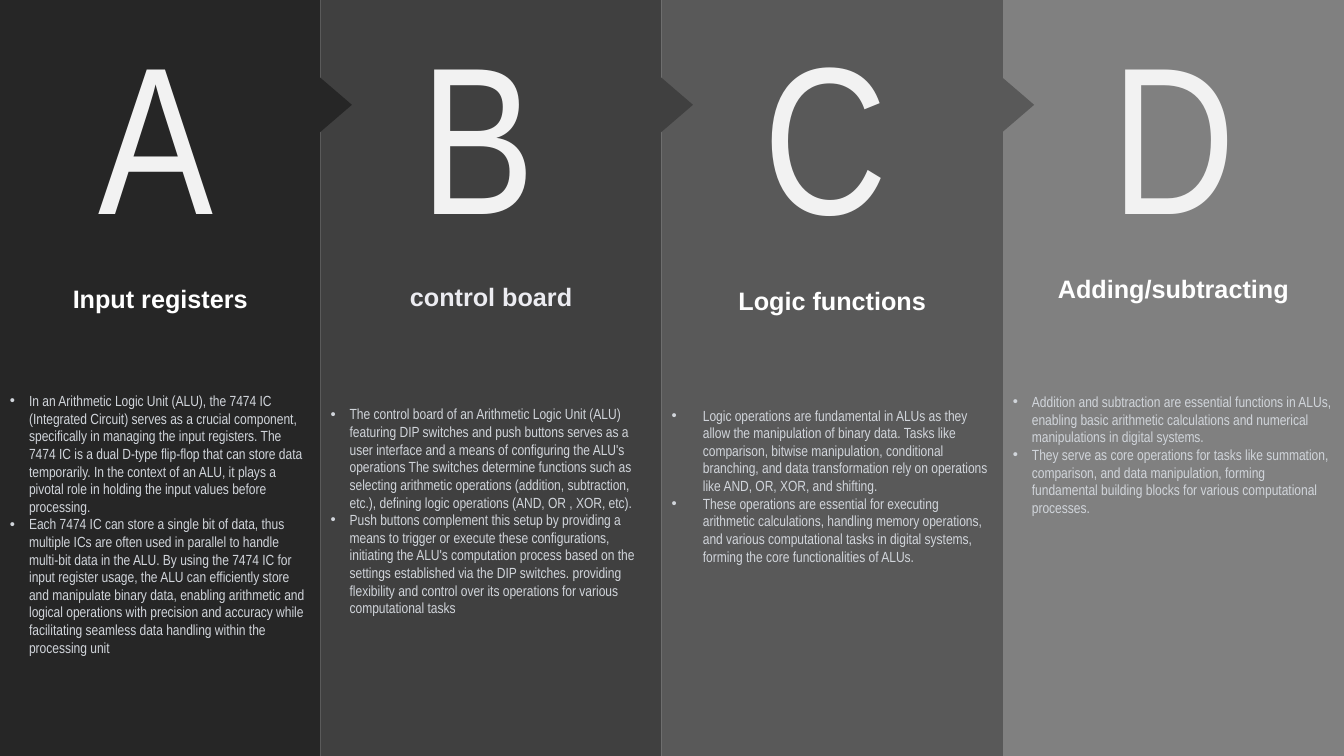
from dataclasses import dataclass

from lxml.etree import SubElement
from pptx import Presentation
from pptx.dml.color import RGBColor
from pptx.enum.shapes import MSO_SHAPE
from pptx.enum.text import MSO_ANCHOR, MSO_AUTO_SIZE, PP_ALIGN
from pptx.oxml.ns import qn
from pptx.util import Inches, Pt

SLIDE_W, SLIDE_H = 13.33, 7.5
FIRST_W = 3.18
COLUMN_W = (SLIDE_W - FIRST_W) / 3
ARROW_W, ARROW_H, ARROW_MID = 0.32, 0.55, 1.04

LETTER = dict(size=Pt(150), name="Arial Narrow", color="F2F2F2")
HEADING = dict(size=Pt(18), name="Arial", bold=True)
BODY = dict(size=Pt(10.5), name="Arial Narrow", bold=False, color="D1D5DB")


@dataclass
class Column:
    """Content and spacing of one lettered column."""
    letter: str
    heading: str
    bullets: tuple
    fill: str
    letter_dx: float
    heading_top: float
    gap: float
    indent: float = 0.19
    heading_color: str = "FFFFFF"
    arrow: bool = True


COLUMNS = [
    Column("A", "Input registers", (
        "In an Arithmetic Logic Unit (ALU), the 7474 IC (Integrated Circuit) serves as a crucial "
        "component, specifically in managing the input registers. The 7474 IC is a dual D-type "
        "flip-flop that can store data temporarily. In the context of an ALU, it plays a pivotal "
        "role in holding the input values before processing.",
        "Each 7474 IC can store a single bit of data, thus multiple ICs are often used in parallel "
        "to handle multi-bit data in the ALU. By using the 7474 IC for input register usage, the "
        "ALU can efficiently store and manipulate binary data, enabling arithmetic and logical "
        "operations with precision and accuracy while facilitating seamless data handling within "
        "the processing unit"), "262626", 0.88, 2.81, 56),
    Column("B", "control board", (
        "The control board of an Arithmetic Logic Unit (ALU) featuring DIP switches and push "
        "buttons serves as a user interface and a means of configuring the ALU's operations The "
        "switches determine functions such as selecting arithmetic operations (addition, "
        "subtraction, etc.), defining logic operations (AND, OR , XOR, etc).",
        "Push buttons complement this setup by providing a means to trigger or execute these "
        "configurations, initiating the ALU's computation process based on the settings "
        "established via the DIP switches. providing flexibility and control over its operations "
        "for various computational tasks"), "404040", 0.89, 2.79, 67, heading_color="ECECF1"),
    Column("C", "Logic functions", (
        "Logic operations are fundamental in ALUs as they allow the manipulation of binary data. "
        "Tasks like comparison, bitwise manipulation, conditional branching, and data "
        "transformation rely on operations like AND, OR, XOR, and shifting.",
        "These operations are essential for executing arithmetic calculations, handling memory "
        "operations, and various computational tasks in digital systems, forming the core "
        "functionalities of ALUs."), "595959", 0.91, 2.83, 65, indent=0.31),
    Column("D", "Adding/subtracting", (
        "Addition and subtraction are essential functions in ALUs, enabling basic arithmetic "
        "calculations and numerical manipulations in digital systems.",
        "They serve as core operations for tasks like summation, comparison, and data "
        "manipulation, forming fundamental building blocks for various computational processes."),
        "808080", 0.98, 2.71, 64, arrow=False),
]


def rgb(value):
    """Turn a hex string into a colour."""
    return RGBColor.from_string(value)


def add_run(p, text, color, **font):
    """Add a run with the given font values."""
    r = p.add_run()
    r.text = text
    r.font.color.rgb = rgb(color)
    for key, value in font.items():
        setattr(r.font, key, value)


def add_solid(s, kind, fill, x, y, w, h):
    """Add a flat shape without an outline."""
    sp = s.shapes.add_shape(kind, *map(Inches, (x, y, w, h)))
    sp.shadow.inherit = False
    sp.fill.solid()
    sp.fill.fore_color.rgb = rgb(fill)
    sp.line.fill.background()
    return sp


def set_bullet(p, indent):
    """Give a paragraph a hanging round bullet."""
    pPr = p._p.get_or_add_pPr()
    pPr.set("marL", str(Inches(indent)))
    pPr.set("indent", str(-Inches(indent)))
    SubElement(pPr, qn("a:buFont"), typeface="Arial")
    SubElement(pPr, qn("a:buChar"), char="•")


def add_panel(s, column, x, w):
    """Add the column's background with its heading and bullets."""
    tf = add_solid(s, MSO_SHAPE.RECTANGLE, column.fill, x, 0, w, SLIDE_H).text_frame
    tf.word_wrap = True
    tf.vertical_anchor = MSO_ANCHOR.TOP
    tf.margin_top = Inches(column.heading_top)
    p = tf.paragraphs[0]
    p.alignment = PP_ALIGN.CENTER
    p.space_after = Pt(column.gap)
    add_run(p, column.heading, column.heading_color, **HEADING)
    for bullet in column.bullets:
        p = tf.add_paragraph()
        p.alignment = PP_ALIGN.LEFT
        set_bullet(p, column.indent)
        add_run(p, bullet, **BODY)


def add_letter(s, column, x):
    """Add the column's large letter."""
    tf = s.shapes.add_textbox(*map(Inches, (x + column.letter_dx, 0, 1.49, 2.63))).text_frame
    tf.word_wrap = False
    tf.auto_size = MSO_AUTO_SIZE.SHAPE_TO_FIT_TEXT
    add_run(tf.paragraphs[0], column.letter, **LETTER)


def add_arrow(s, column, edge):
    """Add the triangle that points into the next column."""
    mid = edge - 0.01 + ARROW_W / 2
    sp = add_solid(s, MSO_SHAPE.ISOSCELES_TRIANGLE, column.fill,
                   mid - ARROW_H / 2, ARROW_MID - ARROW_W / 2, ARROW_H, ARROW_W)
    sp.rotation = 90


def add_column(s, column, x, w):
    """Build one column in the given horizontal span."""
    add_panel(s, column, x, w)
    add_letter(s, column, x)
    if column.arrow:
        add_arrow(s, column, x + w)


def main():
    """Build and save the slide."""
    prs = Presentation()
    prs.slide_width, prs.slide_height = Inches(SLIDE_W), Inches(SLIDE_H)
    s = prs.slides.add_slide(prs.slide_layouts[6])
    for i, column in reversed(list(enumerate(COLUMNS))):
        x = FIRST_W + (i - 1) * COLUMN_W if i else 0
        add_column(s, column, x, COLUMN_W if i else FIRST_W)
    prs.save("out.pptx")


if __name__ == "__main__":
    main()
